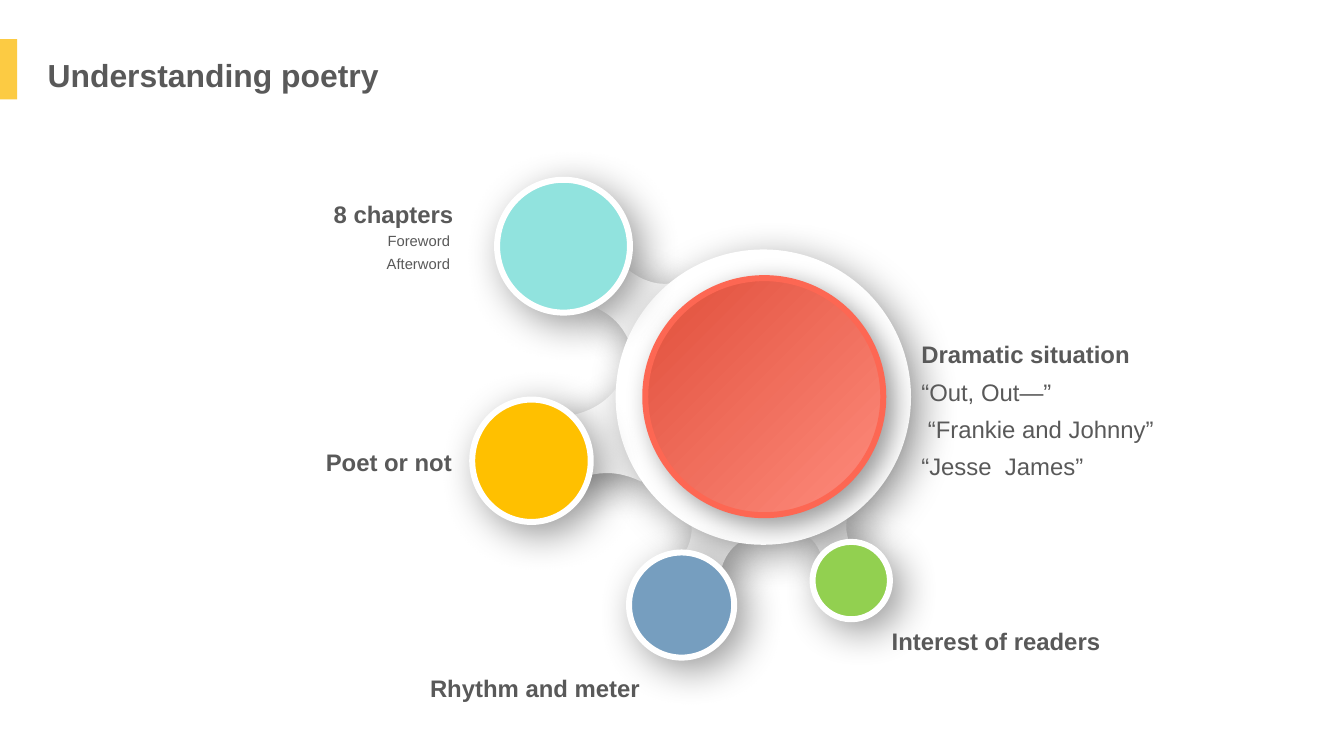
"""Build the slide about understanding poetry: a hub circle with four satellites."""
from lxml import etree
from pptx import Presentation
from pptx.dml.color import RGBColor
from pptx.enum.shapes import MSO_SHAPE
from pptx.enum.text import PP_ALIGN
from pptx.oxml.ns import qn
from pptx.util import Pt

OVAL, RECTANGLE = MSO_SHAPE.OVAL, MSO_SHAPE.RECTANGLE
LEFT, RIGHT = PP_ALIGN.LEFT, PP_ALIGN.RIGHT
FONT, TEXT_COLOR = "Arial", "595959"
WHITE, ACCENT = "FFFFFF", "FCCB43"
CURVE_STEPS = 12
DEEP_SHADOW, CORE_SHADOW = (30, 10), (20, 8)

# Each neck has two curved sides, given by start, middle and end.
NECKS = [
    (((619.9, 423.4), (614.2, 409.7), (604.1, 401.8)),
     ((638.6, 388.1), (637.9, 401.8), (643, 414))),
    (((513.4, 420.5), (520.6, 403.2), (518.4, 387.4)),
     ((560.9, 406.1), (548.6, 416.9), (542.2, 433.4))),
    (((419, 314.6), (447.8, 306.7), (466.6, 288.7)),
     ((483.1, 362.9), (456.5, 356.4), (429.8, 363.6))),
    (((468.7, 199.4), (488.2, 211.7), (508.3, 213.1)),
     ((475.2, 260.6), (464.4, 242.6), (447.1, 231.1))),
]
CIRCLES = [
    ((463.7, 187.9, 222.5, 222.5), (WHITE,), None, DEEP_SHADOW),
    ((486, 209.5, 179.3, 178.6), ("E04F3B", "FF8C7D"), "FD6753", CORE_SHADOW),
    ((374.4, 135.4, 100.1, 100.1), ("91E3DE",), WHITE, DEEP_SHADOW),
    ((473.8, 416.2, 79.2, 79.2), ("769EBF",), WHITE, DEEP_SHADOW),
    ((612, 408.2, 58.3, 58.3), ("92D050",), WHITE, DEEP_SHADOW),
    ((355.7, 301, 89.3, 92.2), ("FFC000",), WHITE, DEEP_SHADOW),
]
TEXTS = [
    ((28.8, 29.5, 266.4, 41), LEFT, 24, [("Understanding poetry", True)]),
    ((243.4, 140.4, 105.1, 35.3), RIGHT, 18, [("8 chapters", True)]),
    ((113.8, 167, 235.4, 42.5), RIGHT, 11.1,
     [("Foreword ", False), ("Afterword ", False)]),
    ((686.9, 246.2, 278.6, 149), LEFT, 18,
     [("Dramatic situation", True), ("“Out, Out—”", False),
      (" “Frankie and Johnny” ", False), ("“Jesse  James”", False)]),
    ((316.8, 497.5, 174.2, 32.4), LEFT, 18, [("Rhythm and meter", True)]),
    ((664.6, 462.2, 172.8, 32.4), LEFT, 18, [("Interest of readers", True)]),
    ((238.3, 326.9, 110.2, 32.4), LEFT, 18, [("Poet or not", True)]),
]


def rgb(value):
    return RGBColor.from_string(value)


def points(box):
    return [Pt(length) for length in box]


def style(shape, colors, outline=None, shadow=None):
    shape.shadow.inherit = False
    if len(colors) == 2:
        shape.fill.gradient()
        shape.fill.gradient_angle = 315
        for stop, color, position in zip(shape.fill.gradient_stops, colors, (0, 1)):
            stop.color.rgb, stop.position = rgb(color), position
    else:
        shape.fill.solid()
        shape.fill.fore_color.rgb = rgb(colors[0])
    if outline:
        shape.line.color.rgb = rgb(outline)
        shape.line.width = Pt(4.5)
    else:
        shape.line.fill.background()
    if shadow:
        blur, distance = shadow
        effects = shape.element.spPr.find(qn("a:effectLst"))
        outer = etree.SubElement(
            effects, qn("a:outerShdw"), blurRad=str(Pt(blur)), dist=str(Pt(distance)),
            dir=str(45 * 60000), algn="tl", rotWithShape="0")
        color = etree.SubElement(outer, qn("a:srgbClr"), val="000000")
        etree.SubElement(color, qn("a:alpha"), val="40000")


def curve(start, middle, end):
    control = [2 * m - (s + e) / 2 for s, m, e in zip(start, middle, end)]
    steps = [step / CURVE_STEPS for step in range(CURVE_STEPS + 1)]
    return [tuple((1 - t) ** 2 * s + 2 * t * (1 - t) * c + t * t * e
                  for s, c, e in zip(start, control, end)) for t in steps]


def add_neck(slide, sides):
    outline = [(Pt(x), Pt(y)) for side in sides for x, y in curve(*side)]
    builder = slide.shapes.build_freeform(*outline[0])
    builder.add_line_segments(outline[1:], close=True)
    style(builder.convert_to_shape(), (WHITE,), shadow=DEEP_SHADOW)


def add_text(slide, box, alignment, size, lines):
    frame = slide.shapes.add_textbox(*points(box)).text_frame
    frame.word_wrap = len(lines) > 1
    for index, (text, bold) in enumerate(lines):
        paragraph = frame.add_paragraph() if index else frame.paragraphs[0]
        paragraph.alignment = alignment
        paragraph.line_spacing = 1.3
        run = paragraph.add_run()
        run.text = text
        run.font.name, run.font.size, run.font.bold = FONT, Pt(size), bold
        run.font.color.rgb = rgb(TEXT_COLOR)


presentation = Presentation()
presentation.slide_width, presentation.slide_height = Pt(1012.3), Pt(569.5)
slide = presentation.slides.add_slide(presentation.slide_layouts[6])
for sides in NECKS:
    add_neck(slide, sides)
for box, colors, outline, shadow in CIRCLES:
    style(slide.shapes.add_shape(OVAL, *points(box)), colors, outline, shadow)
style(slide.shapes.add_shape(RECTANGLE, *points((0, 29.5, 13, 45.4))), (ACCENT,))
for text in TEXTS:
    add_text(slide, *text)
presentation.save("out.pptx")
